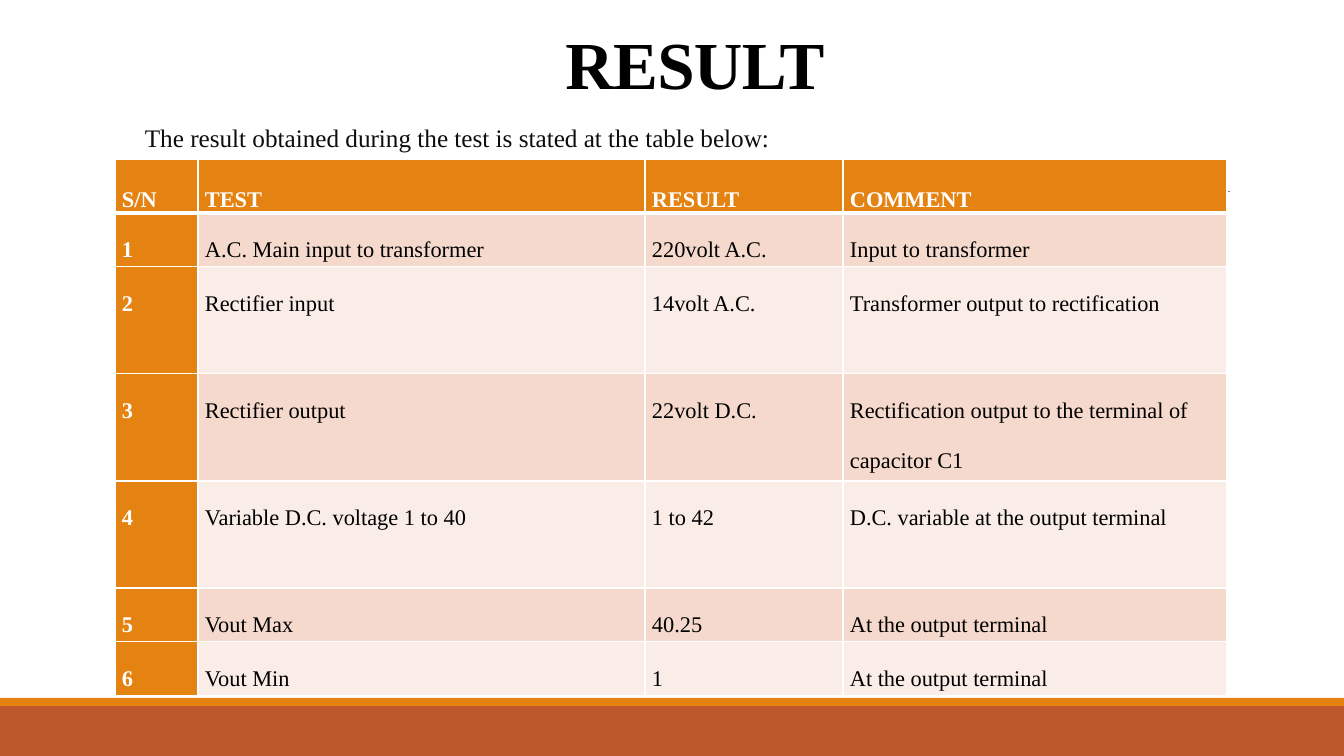
import pptx
import pptx.dml.color
import pptx.enum.shapes
import pptx.enum.text
import pptx.oxml
import pptx.oxml.ns
import pptx.util

ALIGN = pptx.enum.text.PP_ALIGN
ANCHOR = pptx.enum.text.MSO_ANCHOR

COLORS = {
    "white": "FFFFFF",
    "black": "000000",
    "ink": "0D0D0D",
    "rust": "BD582C",
    "orange": "E48312",
    "gray": "808080",
    "dark_band": "F5D9CC",
    "light_band": "FAEDE7",
}

RESULTS = [
    ("S/N", "TEST", "RESULT", "COMMENT"),
    ("1", "A.C. Main input to transformer", "220volt A.C.", "Input to transformer"),
    ("2", "Rectifier input", "14volt A.C.", "Transformer output to rectification"),
    ("3", "Rectifier output", "22volt D.C.", "Rectification output to the terminal of capacitor C1"),
    ("4", "Variable D.C. voltage 1 to 40", "1 to 42", "D.C. variable at the output terminal"),
    ("5", "Vout Max", "40.25", "At the output terminal"),
    ("6", "Vout Min", "1", "At the output terminal"),
]
COLUMN_WIDTHS = [83, 447, 198, 384]
SHORT_ROW, TALL_ROW = 50, 107
ROW_HEIGHTS = [SHORT_ROW] * 2 + [TALL_ROW] * 3 + [SHORT_ROW] * 2


class SlideBuilder:
    font = "Times New Roman"
    emu_per_px = 914400 / 100.8

    def __init__(self, deck):
        deck.slide_width, deck.slide_height = self.px(1344), self.px(756)
        self.slide = deck.slides.add_slide(deck.slide_layouts[6])

    def px(self, length):
        return pptx.util.Emu(round(length * self.emu_per_px))

    def box(self, *lengths):
        return [self.px(length) for length in lengths]

    def color(self, name):
        return pptx.dml.color.RGBColor.from_string(COLORS[name])

    def paint(self, target, name):
        target.fill.solid()
        target.fill.fore_color.rgb = self.color(name)

    def typeset(self, frame, wording, size, color, bold=False, align=ALIGN.LEFT, spacing=1.0):
        frame.text = wording
        paragraph = frame.paragraphs[0]
        paragraph.alignment = align
        paragraph.line_spacing = spacing
        run = paragraph.runs[0]
        run.font.name = self.font
        run.font.size = pptx.util.Pt(size)
        run.font.bold = bold
        run.font.color.rgb = self.color(color)
        return run

    def bar(self, left, top, width, height, color):
        bar = self.slide.shapes.add_shape(
            pptx.enum.shapes.MSO_SHAPE.RECTANGLE, *self.box(left, top, width, height))
        bar.shadow.inherit = False
        self.paint(bar, color)
        bar.line.fill.background()

    def rule(self, left, right, y, color, weight):
        rule = self.slide.shapes.add_connector(
            pptx.enum.shapes.MSO_CONNECTOR.STRAIGHT, *self.box(left, y, right, y))
        rule.line.color.rgb = self.color(color)
        rule.line.width = pptx.util.Pt(weight)
        rule._element.spPr.append(pptx.oxml.parse_xml(
            f"<a:effectLst {pptx.oxml.ns.nsdecls('a')}/>"))

    def text(self, left, top, width, height, wording, anchor, wrap=True, tracking=0, **style):
        label = self.slide.shapes.add_textbox(*self.box(left, top, width, height))
        label.text_frame.word_wrap = wrap
        label.text_frame.vertical_anchor = anchor
        run = self.typeset(label.text_frame, wording, **style)
        if tracking:
            run._r.get_or_add_rPr().set("spc", str(tracking))

    def borders(self, cell, weights):
        properties = cell._tc.get_or_add_tcPr()
        for side, weight in weights.items():
            properties.append(pptx.oxml.parse_xml(
                f"<a:ln{side} {pptx.oxml.ns.nsdecls('a')} w='{pptx.util.Pt(weight)}'>"
                f"<a:solidFill><a:srgbClr val='{COLORS['white']}'/></a:solidFill></a:ln{side}>"))

    def cell(self, cell, wording, row, column):
        header, key = row == 0, column == 0
        strong = header or key
        band = "dark_band" if row % 2 else "light_band"
        self.borders(cell, {"L": 1, "R": 1, "T": 3 if row == 1 else 1, "B": 3 if header else 1})
        self.paint(cell, "orange" if strong else band)
        cell.margin_left = cell.margin_right = self.px(7)
        cell.margin_top = cell.margin_bottom = 0
        cell.vertical_anchor = ANCHOR.BOTTOM if header else ANCHOR.TOP
        justified = not header and column < len(COLUMN_WIDTHS) - 1
        self.typeset(cell.text_frame, wording, 16, "white" if strong else "black", strong,
                     ALIGN.JUSTIFY if justified else ALIGN.LEFT, 2.0)

    def table(self, left, top, widths, heights, rows):
        table = self.slide.shapes.add_table(
            len(rows), len(widths), *self.box(left, top, sum(widths), sum(heights))).table
        for column, width in zip(table.columns, widths):
            column.width = self.px(width)
        for row, height in zip(table.rows, heights):
            row.height = self.px(height)
        for r, row in enumerate(rows):
            for c, wording in enumerate(row):
                self.cell(table.cell(r, c), wording, r, c)


def main():
    deck = pptx.Presentation()
    result = SlideBuilder(deck)
    result.bar(0, 706, 1344, 50, "rust")
    result.bar(0, 698, 1344, 8, "orange")
    result.rule(132, 1230, 191, "gray", 0.5)
    result.text(90, 13, 1210, 95, "RESULT", ANCHOR.BOTTOM, tracking=-50,
                size=48, color="black", bold=True, align=ALIGN.CENTER, spacing=0.85)
    result.table(115, 159, COLUMN_WIDTHS, ROW_HEIGHTS, RESULTS)
    result.text(135, 117, 651, 40,
                "The result obtained during the test is stated at the table below:",
                ANCHOR.MIDDLE, wrap=False, size=18, color="ink")
    deck.save("out.pptx")


if __name__ == "__main__":
    main()
